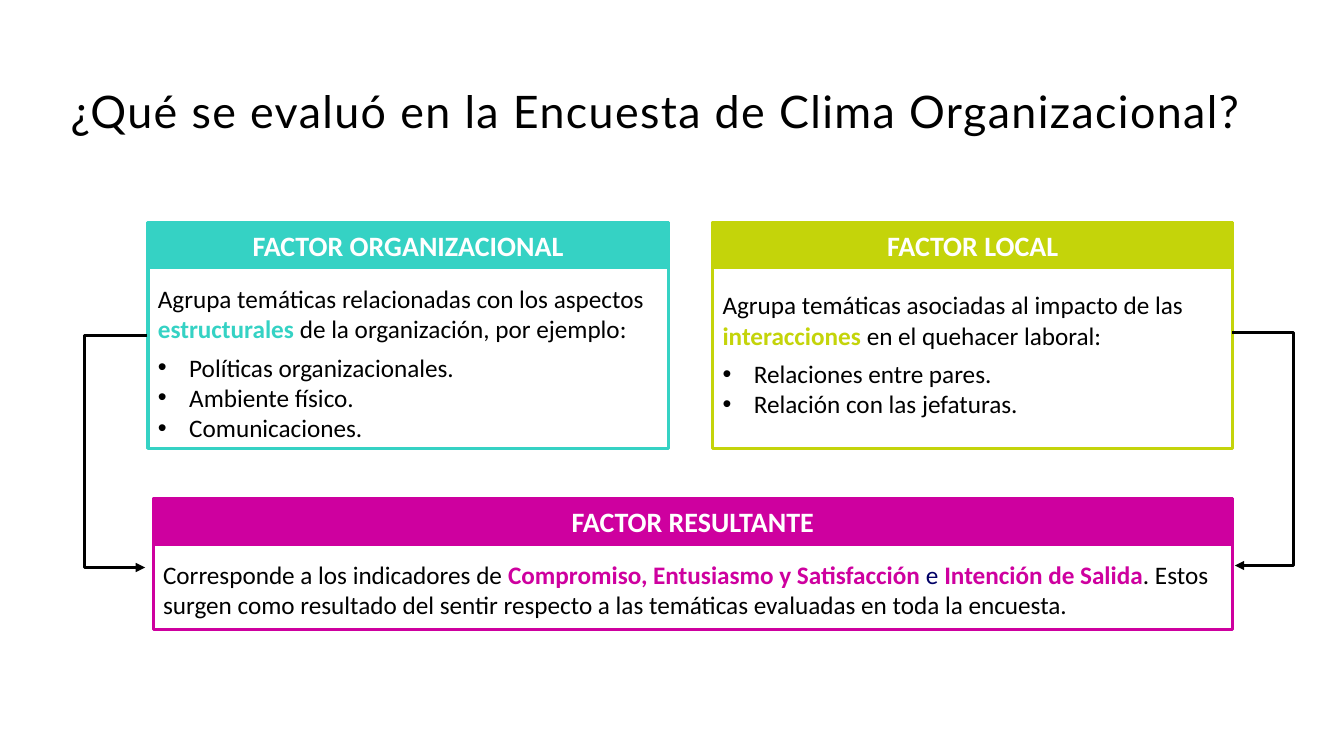
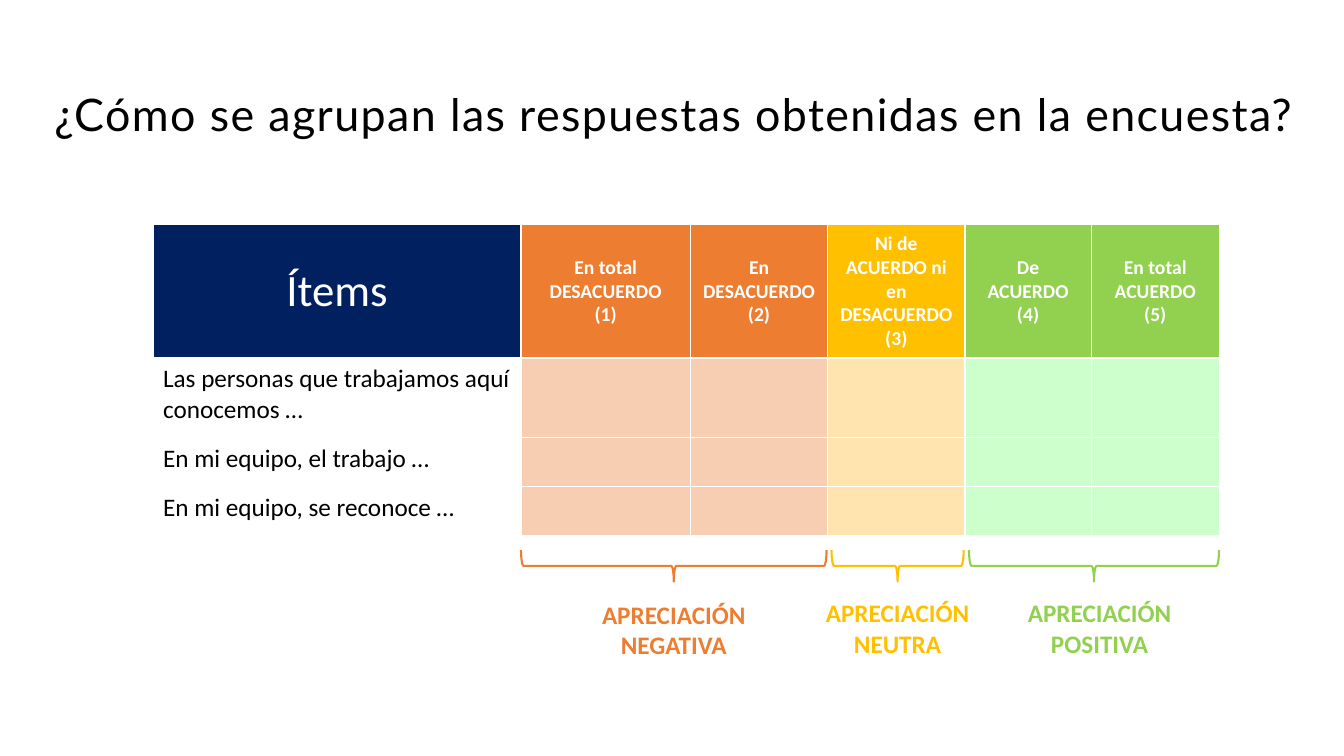
from dataclasses import dataclass

from lxml import etree
from pptx import Presentation
from pptx.dml.color import RGBColor
from pptx.enum.shapes import MSO_CONNECTOR, MSO_SHAPE
from pptx.enum.text import MSO_ANCHOR, PP_ALIGN
from pptx.oxml.ns import qn
from pptx.util import Cm, Pt

ROUNDED, BRACE = MSO_SHAPE.ROUNDED_RECTANGLE, MSO_SHAPE.RIGHT_BRACE
ELBOW = MSO_CONNECTOR.ELBOW
LEFT, CENTER = PP_ALIGN.LEFT, PP_ALIGN.CENTER
TOP, MIDDLE, BOTTOM = MSO_ANCHOR.TOP, MSO_ANCHOR.MIDDLE, MSO_ANCHOR.BOTTOM


@dataclass(frozen=True)
class Theme:
    title_font: str = "Lato"
    body_font: str = "Calibri"
    black: str = "000000"
    white: str = "FFFFFF"
    indigo: str = "010066"
    navy: str = "002060"
    turquoise: str = "35D2C4"
    lime: str = "C4D40A"
    magenta: str = "CE009F"
    orange: str = "ED7D31"
    amber: str = "FFC000"
    green: str = "92D050"
    pale_orange: str = "F8CEB2"
    pale_amber: str = "FFE4AF"
    pale_green: str = "CCFFCC"
    title_size: int = 32
    heading_size: int = 20
    body_size: int = 18
    scale_size: int = 14
    heavy_line: float = 2.25
    brace_line: float = 1.5


THEME = Theme()


def rgb(value):
    return RGBColor.from_string(value)


def set_insets(target, horizontal, vertical):
    target.margin_left = target.margin_right = Cm(horizontal)
    target.margin_top = target.margin_bottom = Cm(vertical)


def add_span(para, text, size, color=THEME.black, bold=False, font=THEME.body_font):
    span = para.add_run()
    span.text = text
    span.font.name, span.font.size, span.font.bold = font, Pt(size), bold
    span.font.color.rgb = rgb(color)
    return span


def add_bullet(para, indent):
    properties = para._p.get_or_add_pPr()
    properties.set("marL", str(Cm(indent)))
    properties.set("indent", str(-Cm(indent)))
    etree.SubElement(properties, qn("a:buFont"), typeface="Arial")
    etree.SubElement(properties, qn("a:buChar"), char="•")


def write_lines(frame, lines, size, color, bold, align=CENTER):
    for index, line in enumerate(lines):
        para = frame.add_paragraph() if index else frame.paragraphs[0]
        para.alignment = align
        add_span(para, line, size, color, bold)


def border_cell(cell, color):
    """Draw a one-point line on all four sides; call before filling the cell."""
    properties = cell._tc.get_or_add_tcPr()
    for side in ("a:lnL", "a:lnR", "a:lnT", "a:lnB"):
        line = etree.SubElement(properties, qn(side), w=str(Pt(1)))
        fill = etree.SubElement(line, qn("a:solidFill"))
        etree.SubElement(fill, qn("a:srgbClr"), val=color)


class SlideBuilder:
    def __init__(self, deck, theme):
        self.deck, self.theme = deck, theme
        self.page = None

    def new_page(self):
        self.page = self.deck.slides.add_slide(self.deck.slide_layouts[6])

    def text_box(self, left, top, width, height, anchor=TOP, insets=(0, 0)):
        box = self.page.shapes.add_textbox(Cm(left), Cm(top), Cm(width), Cm(height))
        frame = box.text_frame
        frame.word_wrap, frame.vertical_anchor = True, anchor
        set_insets(frame, *insets)
        return frame

    def title(self, text, left, top, width, height, anchor, align):
        para = self.text_box(left, top, width, height, anchor).paragraphs[0]
        para.alignment, para.line_spacing = align, 0.9
        span = add_span(para, text, self.theme.title_size, font=self.theme.title_font)
        span.font._element.set("spc", "100")

    def shape(self, kind, left, top, width, height, line, weight, fill=None):
        shape = self.page.shapes.add_shape(kind, Cm(left), Cm(top), Cm(width), Cm(height))
        shape.shadow.inherit = False
        shape.line.color.rgb, shape.line.width = rgb(line), Pt(weight)
        if fill:
            shape.fill.solid()
            shape.fill.fore_color.rgb = rgb(fill)
        else:
            shape.fill.background()
        return shape

    def factor(self, left, top, width, height, color, heading, intro, bullets=(), inset=1.52):
        """Draw a framed panel with a heading band; intro is (text, color) pairs."""
        theme = self.theme
        frame_height = {"panel": height, "band": 1.14}
        fills = {"panel": None, "band": color}
        texts = {}
        for part in frame_height:
            shape = self.shape(ROUNDED, left, top, width, frame_height[part],
                               color, theme.heavy_line, fills[part])
            shape.adjustments[0] = 0
            texts[part] = shape.text_frame
            texts[part].word_wrap = True
        texts["band"].vertical_anchor = MIDDLE
        write_lines(texts["band"], [heading], theme.heading_size, theme.white, True)

        body = texts["panel"]
        body.vertical_anchor, body.margin_top = TOP, Cm(inset)
        body.margin_bottom = Cm(0)
        para = body.paragraphs[0]
        para.alignment = LEFT
        if bullets:
            para.space_after = Pt(6)
        for text, tint in intro:
            add_span(para, text, theme.body_size, tint, tint == color)
        for text in bullets:
            para = body.add_paragraph()
            para.alignment = LEFT
            add_bullet(para, 0.79)
            add_span(para, text, theme.body_size)

    def elbow_arrow(self, start, end, bend):
        """Join start to end through a vertical stretch at x = bend."""
        connector = self.page.shapes.add_connector(
            ELBOW, Cm(start[0]), Cm(start[1]), Cm(end[0]), Cm(end[1]))
        connector.line.color.rgb = rgb(self.theme.black)
        connector.line.width = Pt(self.theme.heavy_line)
        properties = connector.element.spPr
        ratio = round((bend - start[0]) / (end[0] - start[0]) * 100000)
        guides = properties.find(qn("a:prstGeom")).find(qn("a:avLst"))
        etree.SubElement(guides, qn("a:gd"), name="adj1", fmla=f"val {ratio}")
        etree.SubElement(properties.find(qn("a:ln")), qn("a:tailEnd"), type="triangle")
        etree.SubElement(properties, qn("a:effectLst"))

    def answer_table(self, left, top, widths, heights, scale, items):
        """Draw the items against the scale, whose entries are (lines, color, pale color)."""
        theme = self.theme
        table = self.page.shapes.add_table(
            len(heights), len(widths), Cm(left), Cm(top),
            Cm(sum(widths)), Cm(sum(heights))).table
        table.first_row = table.horz_banding = False
        for column, width in zip(table.columns, widths):
            column.width = Cm(width)
        for row, height in zip(table.rows, heights):
            row.height = Cm(height)

        fills = [(theme.navy, None)] + [(color, pale) for _, color, pale in scale]
        for row in range(len(heights)):
            for column, (strong, pale) in enumerate(fills):
                cell = table.cell(row, column)
                border_cell(cell, theme.white)
                fill = pale if row else strong
                if fill:
                    cell.fill.solid()
                    cell.fill.fore_color.rgb = rgb(fill)
                else:
                    cell.fill.background()

        corner = table.cell(0, 0)
        corner.vertical_anchor = MIDDLE
        write_lines(corner.text_frame, ["Ítems"], theme.title_size, theme.white, False)
        for column, (lines, _, _) in enumerate(scale, 1):
            cell = table.cell(0, column)
            cell.vertical_anchor = MIDDLE
            write_lines(cell.text_frame, lines, theme.scale_size, theme.white, True)
        for row, item in enumerate(items, 1):
            cell = table.cell(row, 0)
            set_insets(cell, 0.25, 0.15)
            write_lines(cell.text_frame, [item], theme.body_size, theme.black, False, LEFT)

    def brace_below(self, center, middle, span, color):
        """Draw a brace lying on its side, pointing down."""
        depth = 0.79
        brace = self.shape(BRACE, center - depth / 2, middle - span / 2, depth, span,
                           color, self.theme.brace_line)
        brace.rotation = 90

    def group_label(self, text, center, top, color):
        width = 4.78
        frame = self.text_box(center - width / 2, top, width, 1.73, insets=(0.2, 0.1))
        write_lines(frame, [text], self.theme.body_size, color, True)


def build_factors(builder):
    theme = builder.theme
    builder.new_page()
    builder.factor(
        3.86, 12.57, 27.2, 3.3, theme.magenta, "FACTOR RESULTANTE",
        [("Corresponde a los indicadores de ", theme.black),
         ("Compromiso, Entusiasmo y Satisfacción ", theme.magenta),
         ("e ", theme.indigo),
         ("Intención de Salida", theme.magenta),
         (". Estos surgen como resultado del sentir respecto a las temáticas "
          "evaluadas en toda la encuesta.", theme.black)])
    builder.factor(
        3.73, 5.61, 13.11, 5.69, theme.turquoise, "FACTOR ORGANIZACIONAL",
        [("Agrupa temáticas relacionadas con los aspectos ", theme.black),
         ("estructurales ", theme.turquoise),
         ("de la organización, por ejemplo:", theme.black)],
        ["Políticas organizacionales.", "Ambiente físico.", "Comunicaciones."])
    builder.factor(
        17.96, 5.61, 13.11, 5.69, theme.lime, "FACTOR LOCAL",
        [("Agrupa temáticas asociadas al impacto de las ", theme.black),
         ("interacciones ", theme.lime),
         ("en el quehacer laboral:", theme.black)],
        ["Relaciones entre pares.", "Relación con las jefaturas."], inset=1.69)
    builder.elbow_arrow((3.71, 8.46), (3.66, 14.3), 2.13)
    builder.elbow_arrow((31.06, 8.38), (31.12, 14.25), 32.59)
    builder.title("¿Qué se evaluó en la Encuesta de Clima Organizacional?",
                  1.78, 1.22, 30.33, 3.33, MIDDLE, LEFT)


def build_answers(builder):
    theme = builder.theme
    builder.new_page()
    builder.title("¿Cómo se agrupan las respuestas obtenidas en la encuesta?",
                  0.53, 1.85, 32.92, 1.7, BOTTOM, CENTER)
    negative = (theme.orange, theme.pale_orange)
    neutral = (theme.amber, theme.pale_amber)
    positive = (theme.green, theme.pale_green)
    builder.answer_table(
        3.86, 5.66, [9.27, 4.27, 3.46, 3.46, 3.18, 3.23], [3.36, 2, 1.24, 1.24],
        [(["En total DESACUERDO", "(1)"], *negative),
         (["En DESACUERDO (2)"], *negative),
         (["Ni de ACUERDO ni en DESACUERDO (3)"], *neutral),
         (["De", "ACUERDO", "(4)"], *positive),
         (["En total ACUERDO", "(5)"], *positive)],
        ["Las personas que trabajamos aquí conocemos …",
         "En mi equipo, el trabajo …",
         "En mi equipo, se reconoce …"])
    groups = [("NEGATIVA", theme.orange, 16.98, 7.7, 16.98, 15),
              ("NEUTRA", theme.amber, 22.62, 3.33, 22.62, 14.96),
              ("POSITIVA", theme.green, 27.57, 6.3, 27.71, 14.96)]
    for name, color, brace_center, span, label_center, label_top in groups:
        builder.brace_below(brace_center, 14.26, span, color)
        builder.group_label(f"APRECIACIÓN {name}", label_center, label_top, color)


def main():
    deck = Presentation()
    deck.slide_width, deck.slide_height = Cm(33.87), Cm(19.05)
    builder = SlideBuilder(deck, THEME)
    build_factors(builder)
    build_answers(builder)
    deck.save("out.pptx")


if __name__ == "__main__":
    main()
